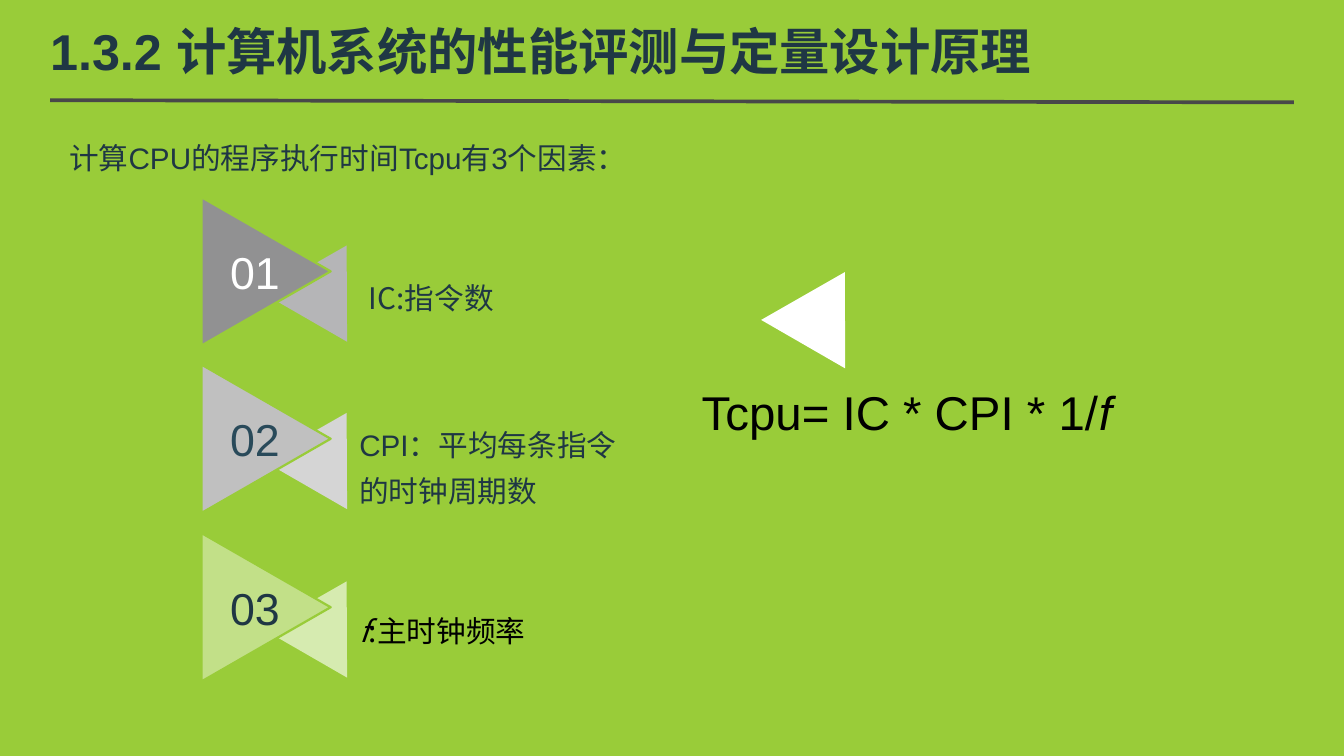
"""Build the slide on the three factors of CPU execution time."""
from lxml import etree
from pptx import Presentation
from pptx.dml.color import RGBColor
from pptx.enum.shapes import MSO_CONNECTOR, MSO_SHAPE
from pptx.enum.text import MSO_ANCHOR, MSO_AUTO_SIZE, PP_ALIGN
from pptx.oxml.ns import qn
from pptx.util import Inches, Pt

STRAIGHT = MSO_CONNECTOR.STRAIGHT
TRIANGLE = MSO_SHAPE.ISOSCELES_TRIANGLE
TOP, MIDDLE = MSO_ANCHOR.TOP, MSO_ANCHOR.MIDDLE
NO_FIT = MSO_AUTO_SIZE.NONE
LEFT, CENTER = PP_ALIGN.LEFT, PP_ALIGN.CENTER

LATIN, CJK = "Arial", "Noto Sans CJK SC"
COLORS = {
    "green": "99CC39", "navy": "1F3744", "slate": "294A5A", "rule": "484849",
    "white": "FFFFFF", "black": "000000",
    "gray": "919192", "gray_back": "B5B5B7",
    "silver": "C0C0C0", "silver_back": "D5D5D5",
    "lime": "C2E088", "lime_back": "D6EBB0",
}


def write(sp, runs, size, color, font=LATIN, bold=False, align=LEFT, anchor=MIDDLE, spacing=1.0):
    """Fill a shape with one paragraph of (text, italic) runs."""
    tf = sp.text_frame
    tf.word_wrap = True
    tf.auto_size = NO_FIT
    tf.vertical_anchor = anchor
    p = tf.paragraphs[0]
    p.alignment = align
    p.line_spacing = spacing
    for text, italic in runs:
        r = p.add_run()
        r.text = text
        r.font.name = font
        r.font.size = Pt(size)
        r.font.bold = bold
        r.font.italic = italic
        r.font.color.rgb = RGBColor.from_string(COLORS[color])
        etree.SubElement(r.font._element, qn("a:ea")).set("typeface", CJK)


def add_back_triangle(left, top, color):
    """Add a triangle that points left."""
    sp = slide.shapes.add_shape(TRIANGLE, Inches(left), Inches(top), Inches(0.91), Inches(0.78))
    sp.rotation = 30
    sp.shadow.inherit = False
    sp.fill.solid()
    sp.fill.fore_color.rgb = RGBColor.from_string(COLORS[color])
    sp.line.fill.background()


prs = Presentation()
prs.slide_width, prs.slide_height = Inches(12.6), Inches(7.09)
slide = prs.slides.add_slide(prs.slide_layouts[5])
slide.background.fill.solid()
slide.background.fill.fore_color.rgb = RGBColor.from_string(COLORS["green"])

title = slide.shapes.title
title.left, title.top, title.width, title.height = Inches(0.47), Inches(0.16), Inches(11.65), Inches(0.63)
tf = title.text_frame
tf.margin_left = tf.margin_right = tf.margin_top = tf.margin_bottom = 0
write(title, [("1.3.2 计算机系统的性能评测与定量设计原理", False)], 34, "navy", bold=True)

rule = slide.shapes.add_connector(STRAIGHT, Inches(0.47), Inches(0.94), Inches(12.13), Inches(0.96))
rule.line.color.rgb = RGBColor.from_string(COLORS["rule"])
rule.line.width = Pt(2.5)
etree.SubElement(rule._element.spPr, qn("a:effectLst"))

factors = [
    ("01", 1.85, "gray", "gray_back", "white"),
    ("02", 3.42, "silver", "silver_back", "slate"),
    ("03", 5.0, "lime", "lime_back", "navy"),
]
for number, top, front, back, ink in factors:
    add_back_triangle(2.6, top + 0.4, back)
    fb = slide.shapes.build_freeform(Inches(1.89), Inches(top))
    fb.add_line_segments([(Inches(3.1), Inches(top + 0.695)), (Inches(1.89), Inches(top + 1.39))])
    sp = fb.convert_to_shape()
    sp.shadow.inherit = False
    sp.fill.solid()
    sp.fill.fore_color.rgb = RGBColor.from_string(COLORS[front])
    sp.line.color.rgb = RGBColor.from_string(COLORS["green"])
    sp.line.width = Pt(1.5)
    sp.text_frame.margin_left = Inches(0.09)
    sp.text_frame.margin_right = Inches(0.3)
    write(sp, [(number, False)], 30.2, ink, align=CENTER)

add_back_triangle(7.27, 2.5, "white")

texts = [
    (0.55, 1.16, 6.31, 0.54, [("计算CPU的程序执行时间Tcpu有3个因素：", False)], 20, "navy", LATIN, TOP, 1.3),
    (3.36, 2.08, 2.74, 1.33, [("IC:指令数", False)], 20, "navy", CJK, MIDDLE, 1.3),
    (3.27, 3.67, 2.74, 1.33, [("CPI：平均每条指令的时钟周期数", False)], 20, "navy", LATIN, MIDDLE, 1.3),
    (3.27, 5.25, 2.52, 1.33, [("f", True), (":主时钟频率", False)], 20, "black", CJK, MIDDLE, 1.0),
    (6.48, 3.54, 6.12, 0.64, [("Tcpu= IC * CPI * 1/", False), ("f", True)], 32, "black", LATIN, TOP, 1.0),
]
for left, top, width, height, runs, size, color, font, anchor, spacing in texts:
    sp = slide.shapes.add_textbox(Inches(left), Inches(top), Inches(width), Inches(height))
    write(sp, runs, size, color, font, anchor=anchor, spacing=spacing)

prs.save("out.pptx")
